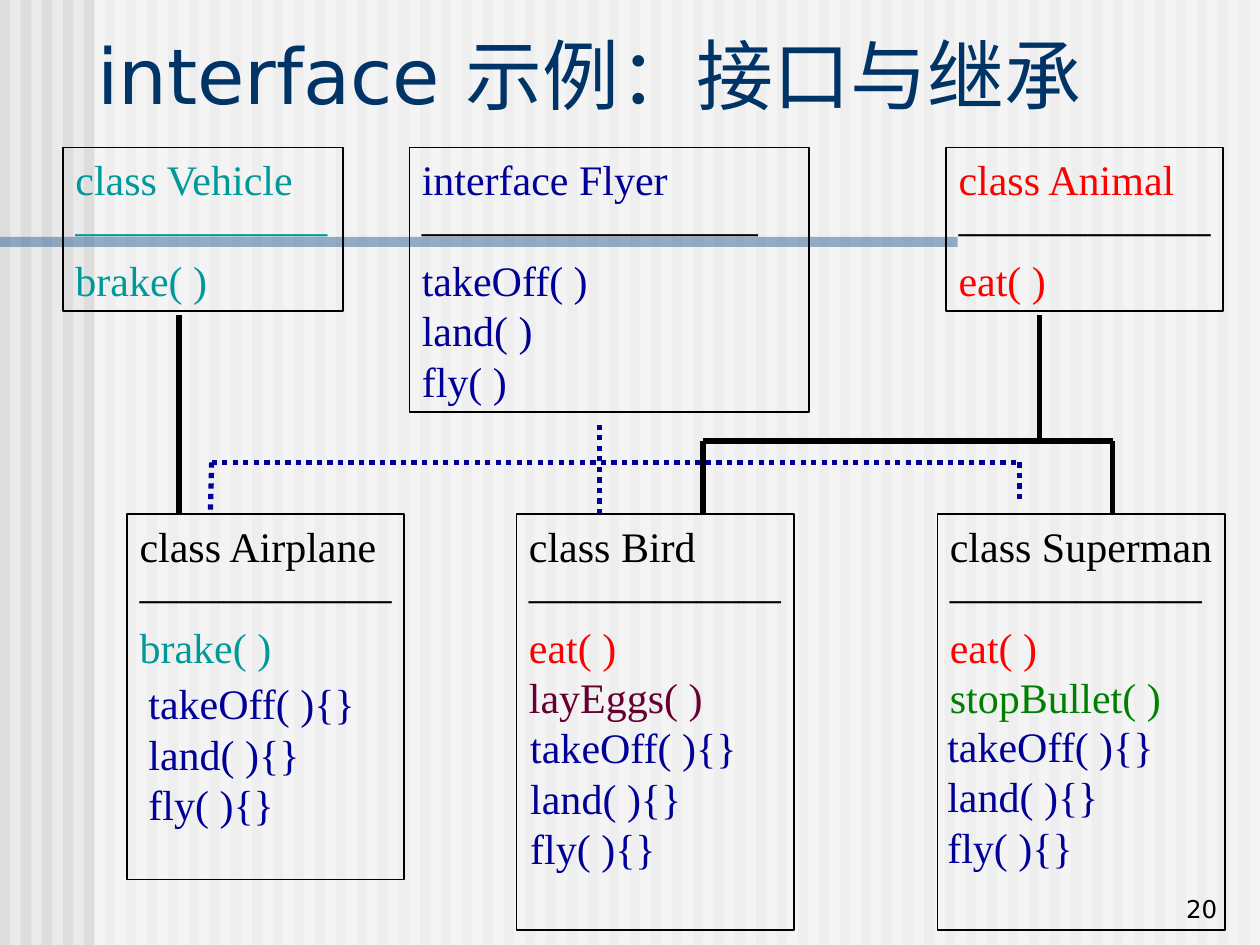
import pptx
import pptx.dml.color
import pptx.enum.dml
import pptx.enum.shapes
import pptx.enum.text
import pptx.oxml
import pptx.util

Inches = pptx.util.Inches
Align = pptx.enum.text.PP_ALIGN
Anchor = pptx.enum.text.MSO_ANCHOR
Dash = pptx.enum.dml.MSO_LINE
SERIF, SANS = "Times New Roman", "DejaVu Sans"
BLACK, NAVY, TEAL, RED = "000000", "000099", "009999", "FF0000"
FLYER_METHODS = ["takeOff( )", "land( )", "fly( )"]


def color(value):
    """Turn a hex string into a colour."""
    return pptx.dml.color.RGBColor.from_string(value)


def apply_format(target, values):
    """Set each attribute in values on the target."""
    for name, value in values.items():
        setattr(target, name, value)


def write_lines(frame, lines, font_name, size, paragraph_format):
    """Fill a text frame with one paragraph for each (text, colour) pair."""
    apply_format(frame, {
        "word_wrap": True, "margin_left": Inches(0.1), "margin_right": Inches(0.05),
        "margin_top": Inches(0.05), "margin_bottom": Inches(0.05),
    })
    for index, (text, text_color) in enumerate(lines):
        paragraph = frame.paragraphs[0] if index == 0 else frame.add_paragraph()
        apply_format(paragraph, paragraph_format)
        run = paragraph.add_run()
        run.text = text
        apply_format(run.font, {"name": font_name, "size": pptx.util.Pt(size)})
        run.font.color.rgb = color(text_color)


def write_code(frame, lines):
    """Write class members in the diagram's text style."""
    spacing = {"alignment": Align.LEFT, "line_spacing": pptx.util.Pt(28.8)}
    write_lines(frame, lines, SERIF, 24, spacing)


def add_rectangle(slide, left, top, width, height):
    """Add a plain rectangle without shadow."""
    shape = slide.shapes.add_shape(
        pptx.enum.shapes.MSO_SHAPE.RECTANGLE,
        Inches(left), Inches(top), Inches(width), Inches(height))
    shape.shadow.inherit = False
    return shape


def add_band(slide, box, fill_color, alpha=100):
    """Add a borderless filled rectangle with the given opacity in percent."""
    shape = add_rectangle(slide, *box)
    shape.fill.solid()
    shape.fill.fore_color.rgb = color(fill_color)
    shape.line.fill.background()
    if alpha < 100:
        fill = shape._element.spPr.find(pptx.oxml.ns.qn("a:solidFill"))
        opacity = pptx.oxml.parse_xml(
            f'<a:alpha {pptx.oxml.ns.nsdecls("a")} val="{alpha * 1000}"/>')
        fill[0].append(opacity)


def add_backdrop(slide, box):
    """Draw the striped background, its pale veil and the title rule."""
    left, top, width, height = box
    slide.background.fill.solid()
    slide.background.fill.fore_color.rgb = color("EAEAEA")
    for index in range(60):
        add_band(slide, (left + index * width / 60, top, 0.08, height), "DDDDDD")
    add_band(slide, (left + 0.75, top, width - 0.75, height), "FFFFFF", 50)
    add_band(slide, (left, top + 1.88, 7.6, 0.08), "336699", 50)


def add_title(slide, box, text):
    """Place and format the title placeholder above the backdrop."""
    title = slide.shapes.title
    apply_format(title, dict(zip(("left", "top", "width", "height"), map(Inches, box))))
    title.text_frame.vertical_anchor = Anchor.BOTTOM
    write_lines(title.text_frame, [(text, "003366")], SANS, 44, {"alignment": Align.LEFT})
    slide.shapes._spTree.append(title._element)


def add_text(slide, box):
    """Add a text box and return its frame."""
    return slide.shapes.add_textbox(*map(Inches, box)).text_frame


def add_type_box(slide, box, heading, members, rule_color=BLACK, rule_length=6, flyer_offset=None):
    """Draw a class or interface box, with Flyer methods at an offset if given."""
    left, top, width, height = box
    shape = add_rectangle(slide, *box)
    shape.fill.background()
    shape.line.color.rgb = color(BLACK)
    shape.line.width = pptx.util.Pt(1)
    shape.text_frame.vertical_anchor = Anchor.TOP
    write_code(shape.text_frame, [heading, ("—" * rule_length, rule_color), *members])
    if flyer_offset:
        across, down = flyer_offset
        frame = add_text(slide, (left + across, top + down, 2.42, 1.3))
        write_code(frame, [(method + "{}", NAVY) for method in FLYER_METHODS])


def add_links(slide, segments, line_color, dash=Dash.SOLID):
    """Draw straight connectors between pairs of points."""
    for points in segments:
        connector = slide.shapes.add_connector(
            pptx.enum.shapes.MSO_CONNECTOR.STRAIGHT, *map(Inches, points))
        connector.line.color.rgb = color(line_color)
        apply_format(connector.line, {"width": pptx.util.Pt(3), "dash_style": dash})
        connector._element.spPr.append(
            pptx.oxml.parse_xml(f'<a:effectLst {pptx.oxml.ns.nsdecls("a")}/>'))


def add_parents(slide, left, top):
    """Draw the row of parent types."""
    add_type_box(slide, (left, top, 2.22, 1.3), ("class Vehicle", TEAL),
                 [("brake( )", TEAL)], rule_color=TEAL)
    add_type_box(slide, (left + 2.75, top, 3.17, 2.1), ("interface Flyer", NAVY),
                 [(method, NAVY) for method in FLYER_METHODS], rule_length=8)
    add_type_box(slide, (left + 7.01, top, 2.2, 1.3), ("class Animal", RED), [("eat( )", RED)])


def add_children(slide, left, top):
    """Draw the row of classes that inherit from the parents."""
    add_type_box(slide, (left, top, 2.2, 2.9), ("class Airplane", BLACK),
                 [("brake( )", TEAL)], flyer_offset=(0.07, 1.25))
    add_type_box(slide, (left + 3.09, top, 2.2, 3.3), ("class Bird", BLACK),
                 [("eat( )", RED), ("layEggs( )", "660033")], flyer_offset=(0.01, 1.6))
    add_type_box(slide, (left + 6.43, top, 2.28, 3.3), ("class Superman", BLACK),
                 [("eat( )", RED), ("stopBullet( )", "008000")], flyer_offset=(-0.02, 1.59))


def add_inheritance(slide, top, bottom):
    """Draw solid inheritance lines and dotted interface lines between the rows."""
    flyer_bar, animal_bar = bottom - 0.41, bottom - 0.58
    add_links(slide, [
        (1.68, flyer_bar, 8.09, flyer_bar), (1.68, flyer_bar, 1.67, bottom),
        (8.09, flyer_bar, 8.09, bottom - 0.08), (4.76, bottom, 4.76, top + 0.83),
    ], NAVY, Dash.ROUND_DOT)
    add_links(slide, [
        (1.42, top, 1.42, bottom), (8.25, top, 8.25, animal_bar),
        (5.58, animal_bar, 8.83, animal_bar),
        (5.58, bottom, 5.58, animal_bar), (8.83, animal_bar, 8.83, bottom),
    ], BLACK)


def add_page_number(slide, box, number):
    """Write the page number at the lower right."""
    frame = add_text(slide, box)
    frame.vertical_anchor = Anchor.BOTTOM
    write_lines(frame, [(number, BLACK)], SANS, 14, {"alignment": Align.RIGHT})
    frame.margin_right = Inches(0.1)


def main():
    """Build the slide and save it."""
    presentation = pptx.Presentation()
    apply_format(presentation, {"slide_width": Inches(10), "slide_height": Inches(7.5)})
    slide = presentation.slides.add_slide(presentation.slide_layouts[5])
    add_backdrop(slide, (0, 0, 10, 7.5))
    add_title(slide, (0.67, 0.16, 8.93, 0.84), "interface 示例：接口与继承")
    add_parents(slide, 0.5, 1.17)
    add_children(slide, 1.01, 4.08)
    add_inheritance(slide, 2.5, 4.08)
    add_page_number(slide, (7.68, 6.88, 2.08, 0.5), "20")
    presentation.save("out.pptx")


if __name__ == "__main__":
    main()
